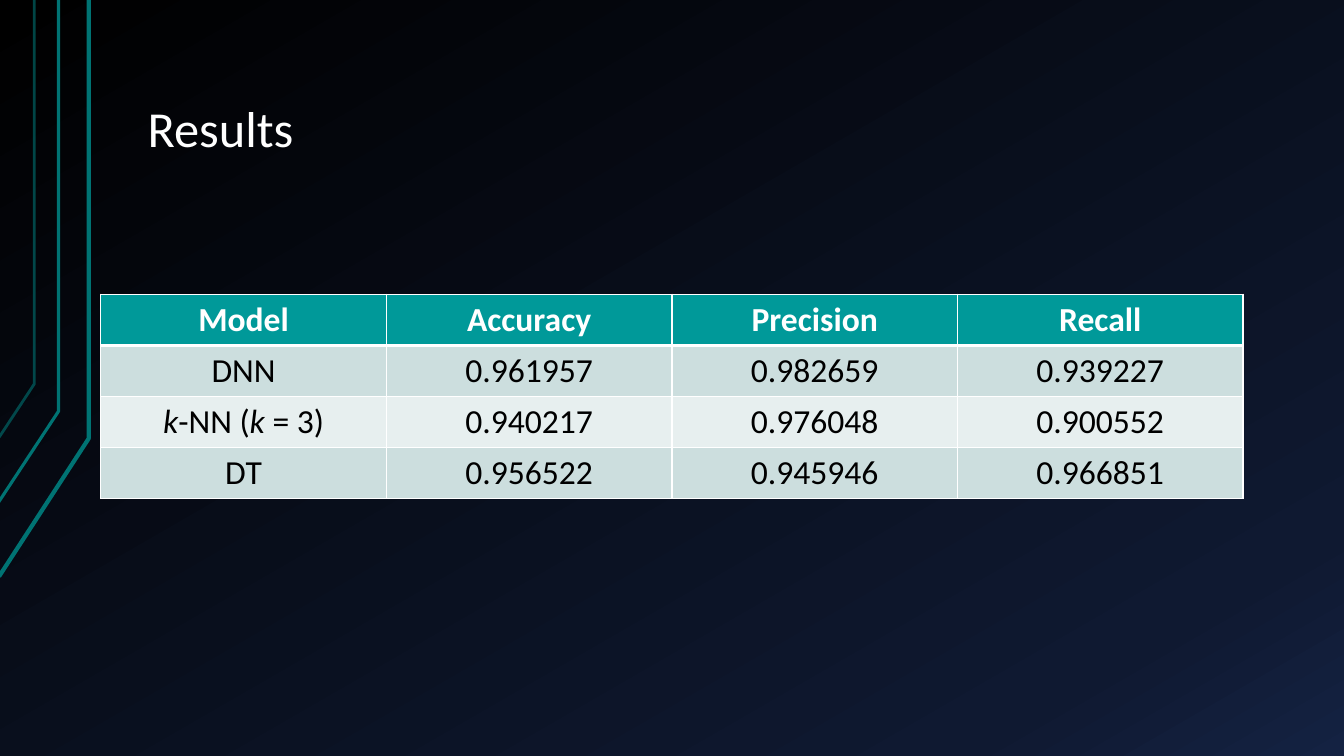
import copy
from dataclasses import dataclass

import lxml.etree
import pptx
import pptx.dml.color
import pptx.enum.text
import pptx.oxml
import pptx.oxml.ns
import pptx.slide
import pptx.table
import pptx.util

Pt = pptx.util.Pt
qn = pptx.oxml.ns.qn
FONT = "Calibri"
COLORS = {
    "white": "FFFFFF",
    "black": "000000",
    "navy": "0F1931",
    "blue": "142242",
    "trace": "007373",
    "header": "009999",
    "odd": "CCDEDE",
    "even": "E7EFEF",
}
BACKGROUND = [(0, "black"), (0.85, "navy"), (1, "blue")]


@dataclass(frozen=True)
class Trace:
    """Line from the left edge up to a bend, then straight to the top."""
    start_x: float
    start_y: float
    bend_x: float
    bend_y: float
    width: float
    opacity: int


TRACES = [
    Trace(-0.7, 411.8, 63.4, 313.2, 3, 100),
    Trace(-1.4, 359.3, 41.8, 293.8, 2.25, 100),
    Trace(-0.7, 312.5, 24.5, 274.3, 2, 60),
]

# Each cell is a list of (text, italic) runs
HEADER = ["Model", "Accuracy", "Precision", "Recall"]
MODELS = [
    [("DNN", False)],
    [("k", True), ("-NN (", False), ("k", True), (" = 3)", False)],
    [("DT", False)],
]
SCORES = [
    ["0.961957", "0.982659", "0.939227"],
    ["0.940217", "0.976048", "0.900552"],
    ["0.956522", "0.945946", "0.966851"],
]


def rgb(name: str) -> pptx.dml.color.RGBColor:
    return pptx.dml.color.RGBColor.from_string(COLORS[name])


def set_font(p, size: float, color: str, bold: bool = False) -> None:
    p.font.name = FONT
    p.font.size = Pt(size)
    p.font.bold = bold
    p.font.color.rgb = rgb(color)


def paint_background(s: pptx.slide.Slide) -> None:
    fill = s.background.fill
    fill.gradient()
    fill.gradient_angle = 300
    stops = s.element.find(".//" + qn("a:gsLst"))
    stops.append(copy.deepcopy(stops[-1]))
    for stop, (position, color) in zip(fill.gradient_stops, BACKGROUND):
        stop.position = position
        stop.color.rgb = rgb(color)


def draw_trace(s: pptx.slide.Slide, trace: Trace) -> None:
    builder = s.shapes.build_freeform(Pt(trace.start_x), Pt(trace.start_y))
    bend_x = Pt(trace.bend_x)
    builder.add_line_segments([(bend_x, Pt(trace.bend_y)), (bend_x, 0)], close=False)
    sp = builder.convert_to_shape()
    sp.shadow.inherit = False
    sp.fill.background()
    sp.line.width = Pt(trace.width)
    sp.line.color.rgb = rgb("trace")
    if trace.opacity < 100:
        color = sp.line._get_or_add_ln().find(".//" + qn("a:srgbClr"))
        alpha = lxml.etree.SubElement(color, qn("a:alpha"))
        alpha.set("val", str(trace.opacity * 1000))


def set_borders(cell: pptx.table._Cell, top: float, bottom: float) -> None:
    tc_pr = cell._tc.get_or_add_tcPr()
    widths = {"lnL": 1, "lnR": 1, "lnT": top, "lnB": bottom}
    for i, (side, width) in enumerate(widths.items()):
        ln = pptx.oxml.parse_xml(
            f'<a:{side} {pptx.oxml.ns.nsdecls("a")} w="{Pt(width)}"><a:solidFill>'
            f'<a:srgbClr val="{COLORS["white"]}"/></a:solidFill></a:{side}>'
        )
        tc_pr.insert(i, ln)


def fill_cell(cell: pptx.table._Cell, runs: list[tuple[str, bool]], row: int, col: int) -> None:
    is_header = row == 0
    cell.fill.solid()
    cell.fill.fore_color.rgb = rgb("header" if is_header else "odd" if row % 2 else "even")
    set_borders(cell, top=3 if row == 1 else 1, bottom=3 if is_header else 1)
    if not is_header and col > 0:
        cell.vertical_anchor = pptx.enum.text.MSO_ANCHOR.MIDDLE
    p = cell.text_frame.paragraphs[0]
    p.alignment = pptx.enum.text.PP_ALIGN.CENTER
    set_font(p, 24, "white" if is_header else "black", bold=is_header)
    for text, italic in runs:
        r = p.add_run()
        r.text = text
        # Run formatting repeats the paragraph's, plus italics
        set_font(r, 24, "white" if is_header else "black", bold=is_header)
        r.font.italic = italic


def add_results(s: pptx.slide.Slide) -> None:
    rows = [[[(name, False)] for name in HEADER]]
    for model, scores in zip(MODELS, SCORES):
        rows.append([model] + [[(score, False)] for score in scores])
    frame = s.shapes.add_table(len(rows), len(HEADER), Pt(72), Pt(210.2), Pt(816), Pt(146))
    table = frame.table
    for i, row in enumerate(rows):
        for j, runs in enumerate(row):
            fill_cell(table.cell(i, j), runs, i, j)


def add_title(s: pptx.slide.Slide) -> None:
    sp = s.shapes.title
    sp.left, sp.top, sp.width, sp.height = Pt(95.8), Pt(21.6), Pt(816), Pt(96.5)
    tf = sp.text_frame
    tf.text = "Results"
    tf.word_wrap = True
    tf.auto_size = pptx.enum.text.MSO_AUTO_SIZE.NONE
    tf.vertical_anchor = pptx.enum.text.MSO_ANCHOR.BOTTOM
    tf.margin_left = tf.margin_right = Pt(9.6)
    tf.margin_top = tf.margin_bottom = Pt(4.8)
    p = tf.paragraphs[0]
    p.alignment = pptx.enum.text.PP_ALIGN.LEFT
    p.line_spacing = 0.9
    set_font(p, 36, "white")


def main() -> None:
    prs = pptx.Presentation()
    prs.slide_width, prs.slide_height = Pt(960), Pt(540)
    s = prs.slides.add_slide(prs.slide_layouts[5])
    paint_background(s)

    # Circuit lines on the left
    for trace in TRACES:
        draw_trace(s, trace)

    # Title and results table
    add_title(s)
    add_results(s)
    prs.save("out.pptx")


if __name__ == "__main__":
    main()
